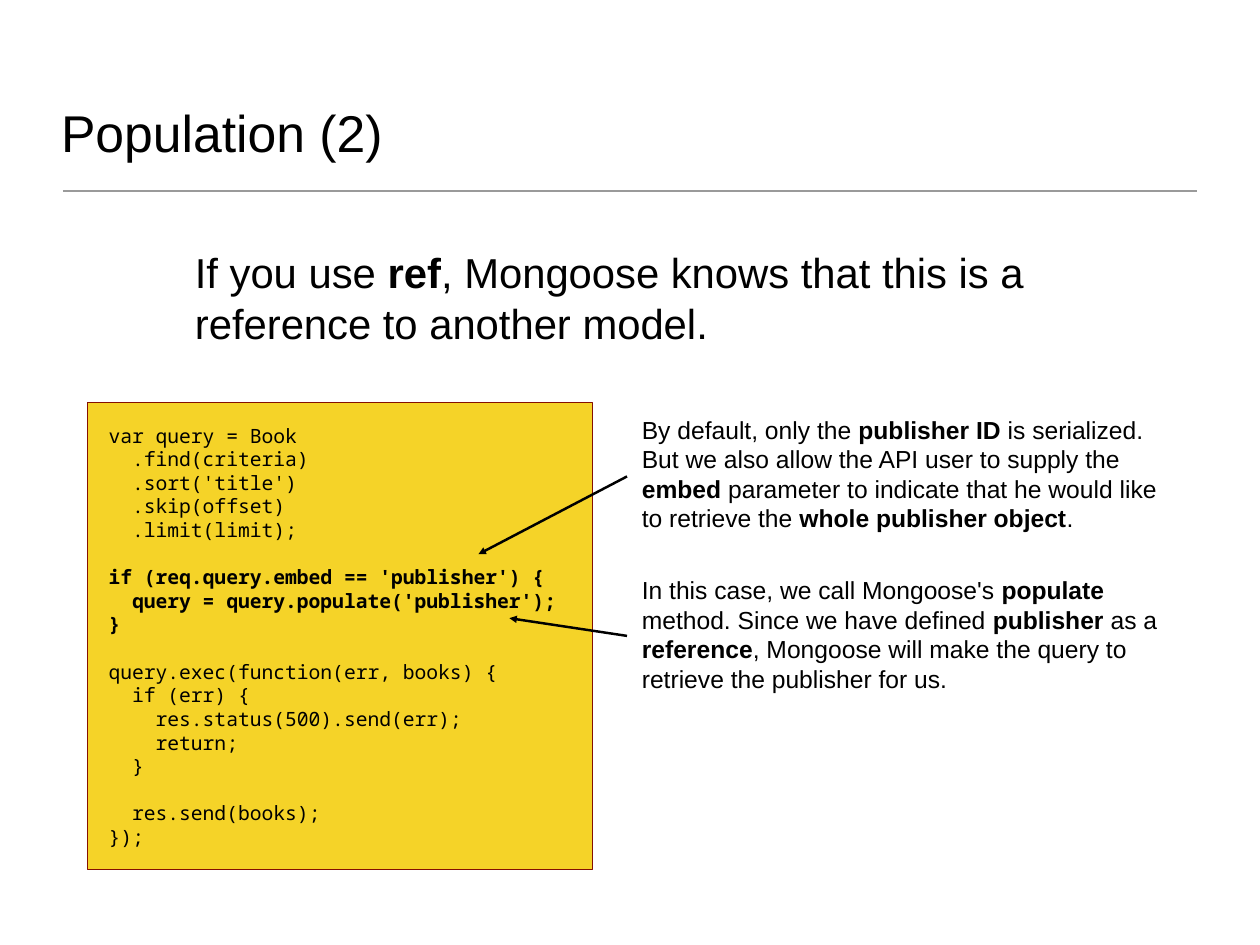
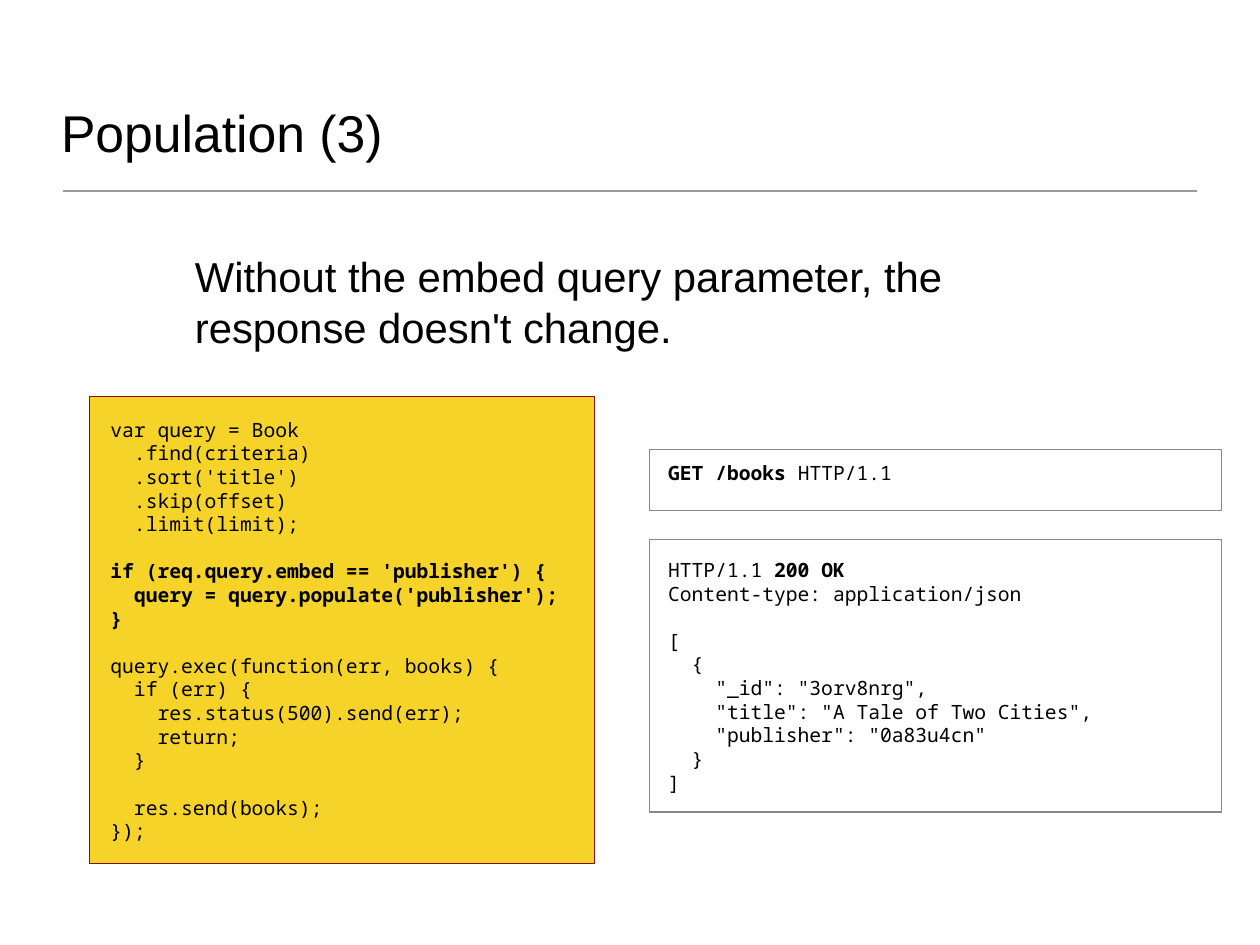
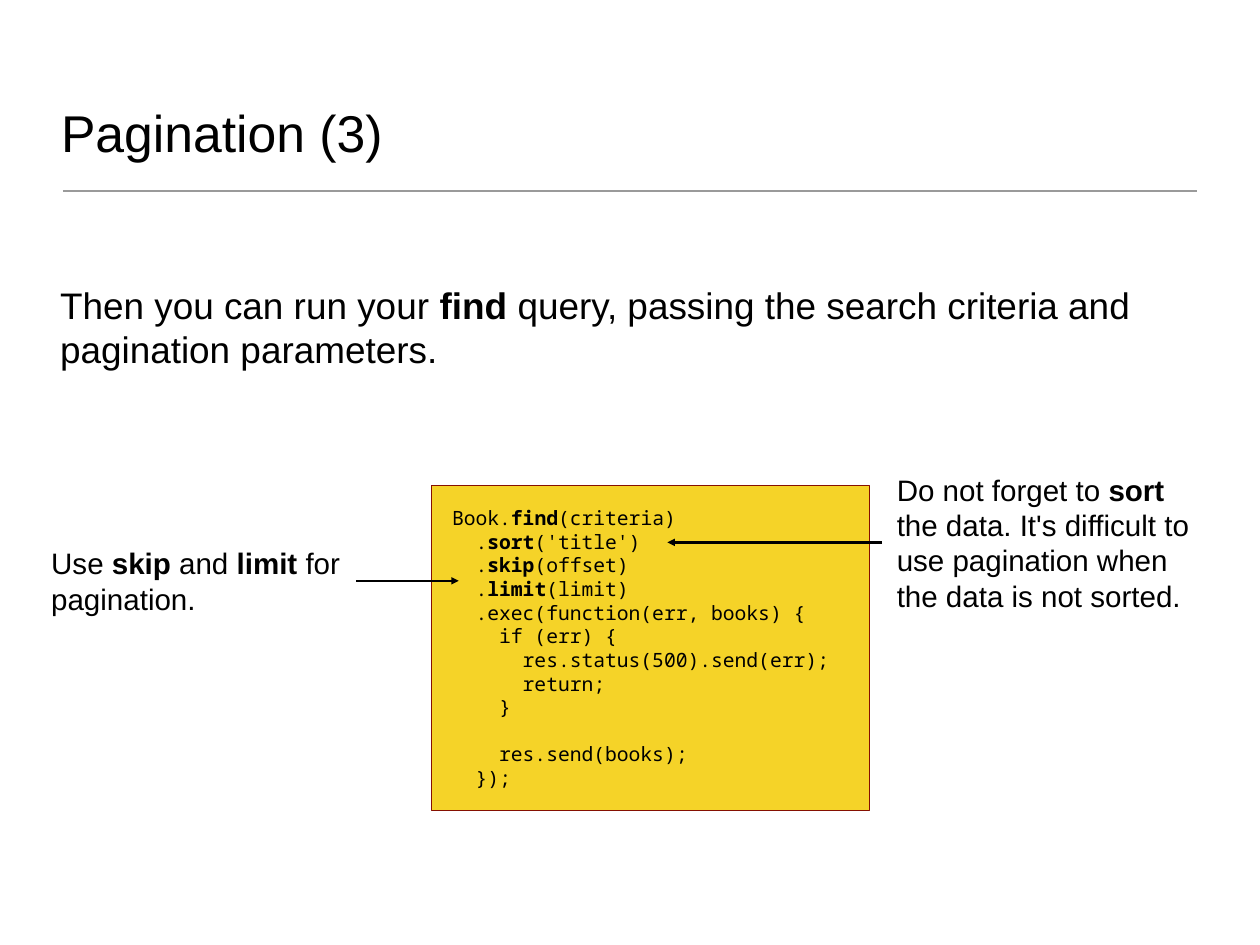
import pptx
import pptx.util
import pptx.dml.color
import pptx.enum.shapes
import pptx.enum.text
import pptx.oxml.ns
import lxml.etree

Pt = pptx.util.Pt
ANCHOR = pptx.enum.text.MSO_ANCHOR

# Grid: 128 columns by 96 rows of square cells
COLS, ROWS, CELL = 128, 96, 8
LEAD = 19.2  # height of a code line in points

HUES = {"ink": "000000", "rule": "9A9A9A", "gold": "F5D328",
        "wine": "851001", "gray": "85888D"}

# Styles: font, size, inset (points), anchor, fill, line
SANS = {"font": "Arial", "inset": 4, "anchor": ANCHOR.MIDDLE}
MONO = {"font": "Noto Sans Mono", "size": 16, "lead": LEAD}
STYLES = {
    "title": {**SANS, "size": 42, "anchor": ANCHOR.BOTTOM},
    "lead": {**SANS, "size": 34},
    "intro": {**SANS, "size": 30},
    "note": {**SANS, "size": 20},
    "label": {**SANS, "size": 24},
    "code": {**MONO, "inset": 17, "anchor": ANCHOR.MIDDLE,
             "fill": "gold", "line": "wine"},
    "http": {**MONO, "inset": 15, "anchor": ANCHOR.TOP, "line": "gray"},
}
STYLES["call"] = {**STYLES["http"], "top": 9}

# Content: asterisks switch bold on and off
QUERY = """var query = Book
  .find(criteria)
  .sort('title')
  .skip(offset)
  .limit(limit);

*if (req.query.embed == 'publisher') {*
*  query = query.populate('publisher');*
*}*

query.exec(function(err, books) {
  if (err) {
    res.status(500).send(err);
    return;
  }

  res.send(books);
});"""

PAGED = """Book.*find*(criteria)
  .*sort*('title')
  .*skip*(offset)
  .*limit*(limit)
  .exec(function(err, books) {
    if (err) {
      res.status(500).send(err);
      return;
    }

    res.send(books);
  });"""

REPLY = """HTTP/1.1 *200 OK*
Content-type: application/json

[
  {
    "_id": "3orv8nrg",
    "title": "A Tale of Two Cities",
    "publisher": "0a83u4cn"
  }
]"""

# Each box: style, (column, row, columns, rows), text
# Each arrow: from column, from row, to column, to row
SLIDES = [
    {"title": "Population (2)",
     "boxes": [
         ("code", (8.9, 40.9, 51.3, 47.4), QUERY),
         ("lead", (19.3, 24.6, 89.4, 11.2),
          "If you use *ref*, Mongoose knows that this is a reference "
          "to another model."),
         ("note", (64.7, 41.6, 54.4, 13),
          "By default, only the *publisher ID* is serialized. But we also "
          "allow the API user to supply the *embed* parameter to indicate "
          "that he would like to retrieve the *whole publisher object*."),
         ("note", (64.7, 57.9, 54.4, 13),
          "In this case, we call Mongoose's *populate* method. Since we have "
          "defined *publisher* as a *reference*, Mongoose will make the "
          "query to retrieve the publisher for us.")],
     "arrows": [(63.7, 48.4, 48.6, 56.3), (63.7, 64.6, 51.75, 62.8)]},
    {"title": "Population (3)",
     "boxes": [
         ("code", (9.1, 40.3, 51.3, 47.4), QUERY),
         ("lead", (19.3, 25, 89.4, 11.2),
          "Without the embed query parameter, the response doesn't change."),
         ("call", (66, 45.7, 58.1, 6.2), "*GET /books *HTTP/1.1"),
         ("http", (66, 54.8, 58.1, 27.7), REPLY)],
     "arrows": []},
    {"title": "Pagination (3)",
     "boxes": [
         ("intro", (5.6, 28.2, 116.7, 10),
          "Then you can run your *find* query, passing the search criteria "
          "and pagination parameters."),
         ("code", (43.8, 49.3, 44.5, 33), PAGED),
         ("label", (90.6, 45.6, 32.7, 19),
          "Do not forget to *sort* the data. It's difficult to use "
          "pagination when the data is not sorted."),
         ("label", (4.7, 54.9, 32.7, 8.2),
          "Use *skip* and *limit* for pagination.")],
     "arrows": [(89.6, 55.1, 67.8, 55.1), (36.2, 59, 46.6, 59)]},
]


def cells(spots):
    return [Pt(spot * CELL) for spot in spots]


def hue(name):
    return pptx.dml.color.RGBColor.from_string(HUES[name])


def assign(item, values):
    for key, value in values.items():
        setattr(item, key, value)


def write(frame, text, style):
    """Fill a frame, turning empty code lines into space before."""
    inset = Pt(style["inset"])
    assign(frame, {"word_wrap": True, "vertical_anchor": style["anchor"],
                   "margin_left": inset, "margin_right": inset,
                   "margin_top": Pt(style.get("top", style["inset"])),
                   "margin_bottom": inset})
    para, gap = frame.paragraphs[0], 0
    for row, line in enumerate(text.split("\n")):
        if not line:
            gap += LEAD
            continue
        if row:
            para = frame.add_paragraph()
        form = {"alignment": pptx.enum.text.PP_ALIGN.LEFT}
        if "lead" in style:
            form["line_spacing"] = Pt(style["lead"])
        if gap:
            form["space_before"] = Pt(gap)
        assign(para, form)
        gap = 0
        for turn, part in enumerate(line.split("*")):
            if part:
                run = para.add_run()
                run.text = part
                assign(run.font, {"name": style["font"],
                                  "size": Pt(style["size"]),
                                  "bold": turn % 2 == 1})
                run.font.color.rgb = hue("ink")


def add_box(slide, kind, area, text):
    style = STYLES[kind]
    if "line" in style:
        box = slide.shapes.add_shape(
            pptx.enum.shapes.MSO_SHAPE.RECTANGLE, *cells(area))
        box.shadow.inherit = False
        box.line.color.rgb = hue(style["line"])
        box.line.width = Pt(1)
        if "fill" in style:
            box.fill.solid()
            box.fill.fore_color.rgb = hue(style["fill"])
        else:
            box.fill.background()
    else:
        box = slide.shapes.add_textbox(*cells(area))
    write(box.text_frame, text, style)


def add_line(slide, ends, color, width, arrow=False):
    line = slide.shapes.add_connector(
        pptx.enum.shapes.MSO_CONNECTOR.STRAIGHT, *cells(ends))
    line.line.color.rgb = hue(color)
    line.line.width = Pt(width)
    qn = pptx.oxml.ns.qn
    if arrow:
        lxml.etree.SubElement(line.line._get_or_add_ln(), qn("a:tailEnd"),
                              type="triangle")
    lxml.etree.SubElement(line._element.spPr, qn("a:effectLst"))


def main():
    deck = pptx.Presentation()
    deck.slide_width, deck.slide_height = cells((COLS, ROWS))
    for page in SLIDES:
        slide = deck.slides.add_slide(deck.slide_layouts[6])
        # Shared heading
        add_line(slide, (6.4, 19.4, 121.6, 19.4), "rule", 1)
        add_box(slide, "title", (5.7, 3.2, 116.7, 13.8), page["title"])
        # Body
        for box in page["boxes"]:
            add_box(slide, *box)
        for ends in page["arrows"]:
            add_line(slide, ends, "ink", 2, arrow=True)
    deck.save("out.pptx")


if __name__ == "__main__":
    main()
